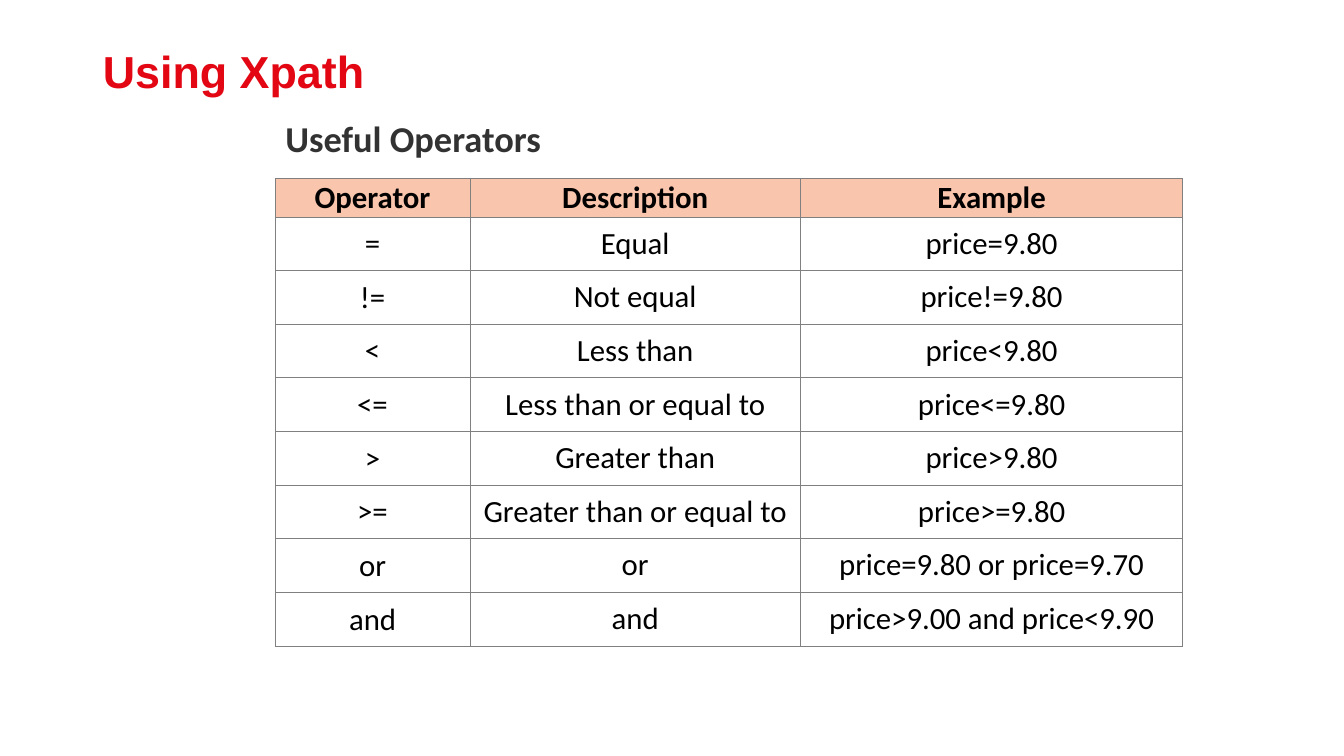
"""Build a slide with a table of XPath operators."""
from lxml.etree import SubElement
from pptx import Presentation
from pptx.dml.color import RGBColor
from pptx.enum.text import MSO_ANCHOR, MSO_AUTO_SIZE, PP_ALIGN
from pptx.oxml.ns import qn
from pptx.util import Inches, Pt

LEFT, MID = PP_ALIGN.LEFT, PP_ALIGN.CENTER
TOP, CENTER = MSO_ANCHOR.TOP, MSO_ANCHOR.MIDDLE
FIXED = MSO_AUTO_SIZE.NONE
UNIT = 0.1
COLORS = {"red": "E30613", "dark": "323232", "black": "000000",
          "peach": "FAC5AD", "gray": "808080"}
HEADS = ["Operator", "Description", "Example"]
ROWS = [
    ["=", "Equal", "price=9.80"],
    ["!=", "Not equal", "price!=9.80"],
    ["<", "Less than", "price<9.80"],
    ["<=", "Less than or equal to", "price<=9.80"],
    [">", "Greater than", "price>9.80"],
    [">=", "Greater than or equal to", "price>=9.80"],
    ["or", "or", "price=9.80 or price=9.70"],
    ["and", "and", "price>9.00 and price<9.90"],
]


def grid(count):
    return Inches(count * UNIT)


def write(frame, text, size=22, font="Calibri", color="black", bold=False,
          align=MID, space=1.0):
    para = frame.paragraphs[0]
    props = para._p.get_or_add_pPr()
    props.set("marL", "0")
    props.set("indent", "0")
    SubElement(props, qn("a:buNone"))
    para.alignment, para.line_spacing = align, space
    para.space_before = Pt(0)
    run = para.add_run()
    run.text = text
    run.font.name, run.font.size, run.font.bold = font, Pt(size), bold
    run.font.color.rgb = RGBColor.from_string(COLORS[color])


class Deck:
    def __init__(self):
        self.show = Presentation()
        self.show.slide_width = Inches(13.33)
        self.show.slide_height = Inches(7.5)
        self.slide = self.show.slides.add_slide(self.show.slide_layouts[1])

    def fill(self, index, text, box, anchor, **style):
        shape = self.slide.placeholders[index]
        shape.left, shape.top, shape.width, shape.height = map(grid, box)
        frame = shape.text_frame
        frame.word_wrap, frame.auto_size = True, FIXED
        frame.vertical_anchor = anchor
        write(frame, text, align=LEFT, bold=True, **style)

    def border(self, cell):
        props = cell._tc.get_or_add_tcPr()
        for side in "LRTB":
            line = SubElement(props, qn(f"a:ln{side}"), w=str(Pt(0.5)))
            paint = SubElement(line, qn("a:solidFill"))
            SubElement(paint, qn("a:srgbClr"), val=COLORS["gray"])

    def cell(self, cell, text, head, pad):
        cell.margin_left = cell.margin_right = Inches(0.01)
        cell.margin_top = Inches(0.08 if pad else 0.01)
        cell.margin_bottom = Inches(0.08 if pad else 0)
        cell.vertical_anchor = CENTER
        self.border(cell)
        if head:
            cell.fill.solid()
            cell.fill.fore_color.rgb = RGBColor.from_string(COLORS["peach"])
        else:
            cell.fill.background()
        write(cell.text_frame, text, bold=head)

    def table(self, rows, left, top, widths, first, rest):
        high = first + rest * (len(rows) - 1)
        box = map(grid, (left, top, sum(widths), high))
        table = self.slide.shapes.add_table(len(rows), len(widths), *box).table
        for col, width in zip(table.columns, widths):
            col.width = grid(width)
        for y, row in enumerate(rows):
            table.rows[y].height = grid(rest if y else first)
            for x, text in enumerate(row):
                self.cell(table.cell(y, x), text, y == 0, x > 0 and y > 0)


def main():
    deck = Deck()
    deck.fill(0, "Using Xpath", (9.2, 4.4, 115, 5.9), CENTER,
              size=32, font="Arial", color="red", space=0.9)
    deck.fill(1, "Useful Operators", (27.3, 11, 90, 52.8), TOP,
              size=26, color="dark")
    deck.table([HEADS] + ROWS, 27.3, 17.7, (19.3, 32.8, 37.9), 3.8, 5.3)
    deck.show.save("out.pptx")


if __name__ == "__main__":
    main()
